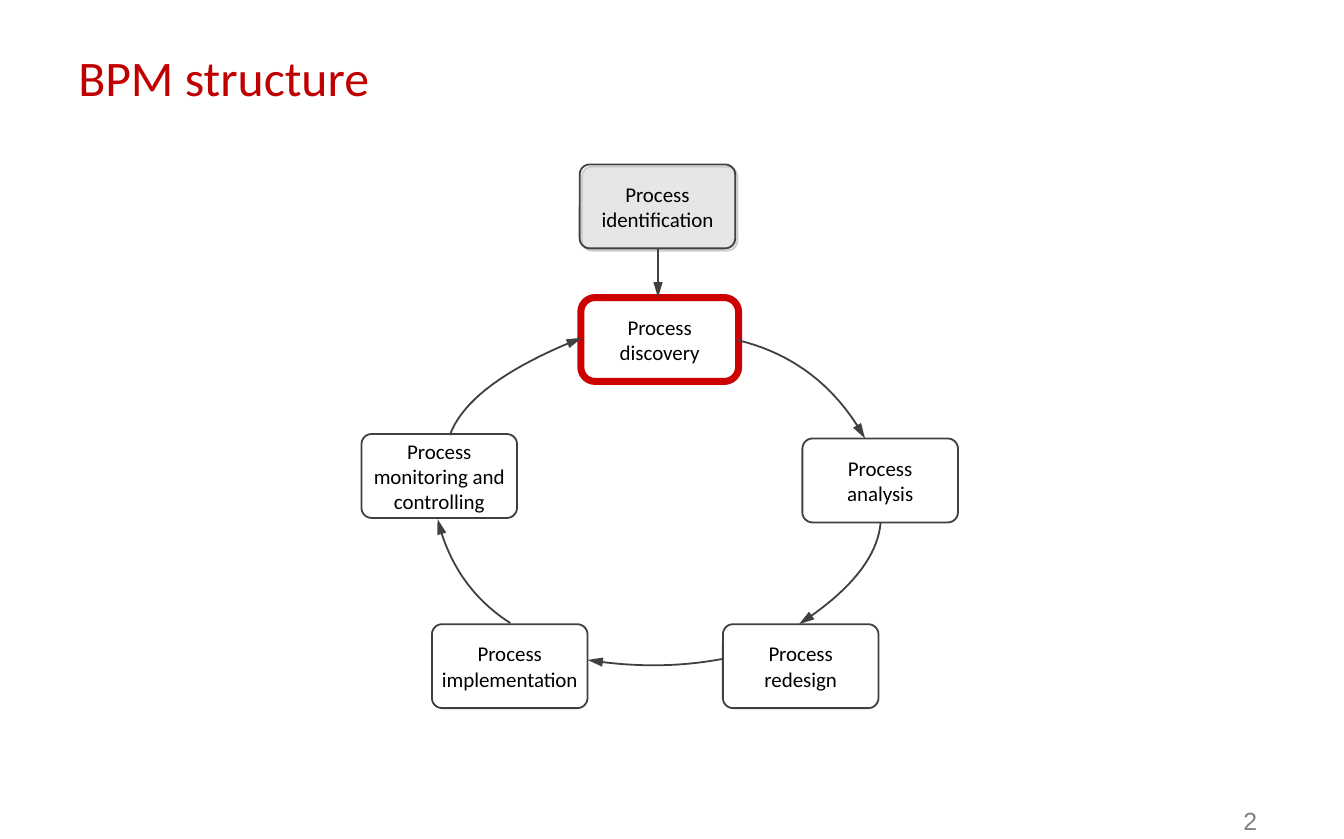
"""Build the BPM structure slide: a process lifecycle drawn as a ring of boxes."""
from lxml.etree import SubElement
from pptx import Presentation
from pptx.dml.color import RGBColor
from pptx.enum.shapes import MSO_CONNECTOR, MSO_SHAPE
from pptx.enum.text import MSO_ANCHOR, PP_ALIGN
from pptx.oxml.ns import qn
from pptx.util import Emu, Pt

PX = 9144
DARK = "404040"
RED = "CC0000"
BOX_W, BOX_H = 139, 75
STEPS = 20


def color(value):
    return RGBColor.from_string(value)


def write(sp, lines, size, font, ink, align=PP_ALIGN.LEFT, anchor=MSO_ANCHOR.TOP):
    tf = sp.text_frame
    tf.word_wrap = True
    tf.vertical_anchor = anchor
    tf.margin_left = tf.margin_right = tf.margin_top = tf.margin_bottom = 0
    p = tf.paragraphs[0]
    p.alignment = align
    for i, line in enumerate(lines):
        if i:
            p.add_line_break()
        r = p.add_run()
        r.text = line
        r.font.size = Pt(size)
        r.font.name = font
        r.font.color.rgb = color(ink)


prs = Presentation()
prs.slide_width, prs.slide_height = Emu(1201 * PX), Emu(750 * PX)
s = prs.slides.add_slide(prs.slide_layouts[6])

labels = [
    (70, 42, 300, 56, "BPM structure", 32, "Calibri", "C00000"),
    (1111, 720, 15, 29, "2", 16, "Arial", "7F7F7F"),
]
for x, y, w, h, text, size, font, ink in labels:
    sp = s.shapes.add_textbox(x * PX, y * PX, w * PX, h * PX)
    write(sp, [text], size, font, ink)

boxes = [
    (520, 149, BOX_W, [], "E6E6E6", "CDCDCD", 1.15),
    (518, 147, BOX_W, ["Process", "identification"], None, DARK, 1.15),
    (323, 388, BOX_W, ["Process", "monitoring and", "controlling"], None, DARK, 1.15),
    (386, 558, BOX_W, ["Process", "implementation"], None, DARK, 1.15),
    (717, 392, BOX_W, ["Process", "analysis"], None, DARK, 1.15),
    (646, 558, BOX_W, ["Process", "redesign"], None, DARK, 1.15),
    (519, 266, 141, ["Process", "discovery"], None, RED, 4.5),
]
for x, y, w, lines, fill, line, weight in boxes:
    sp = s.shapes.add_shape(MSO_SHAPE.ROUNDED_RECTANGLE, x * PX, y * PX, w * PX, BOX_H * PX)
    sp.adjustments[0] = 0.17 if line == RED else 0.12
    sp.shadow.inherit = False
    if fill:
        sp.fill.solid()
        sp.fill.fore_color.rgb = color(fill)
    else:
        sp.fill.background()
    sp.line.color.rgb = color(line)
    sp.line.width = Pt(weight)
    if lines:
        write(sp, lines, 13.5, "Calibri", "000000", PP_ALIGN.CENTER, MSO_ANCHOR.MIDDLE)

arrow = s.shapes.add_connector(MSO_CONNECTOR.STRAIGHT, 588 * PX, 222 * PX, 588 * PX, 266 * PX)
SubElement(arrow.element.spPr, qn("a:effectLst"))
arrows = [arrow]

curves = [
    ((402, 389), (419, 342), (520, 302)),
    ((456, 557), (406, 525), (391, 464)),
    ((646, 589), (588, 600), (525, 590)),
    ((659, 304), (734, 322), (773, 392)),
    ((787, 467), (783, 513), (714, 558)),
]
for start, bend, end in curves:
    points = []
    for i in range(STEPS + 1):
        t = i / STEPS
        points.append([
            round(PX * ((1 - t) ** 2 * a + 2 * t * (1 - t) * b + t ** 2 * c))
            for a, b, c in zip(start, bend, end)
        ])
    builder = s.shapes.build_freeform(*points[0])
    builder.add_line_segments(points[1:], close=False)
    sp = builder.convert_to_shape()
    sp.shadow.inherit = False
    sp.fill.background()
    arrows.append(sp)

for sp in arrows:
    sp.line.color.rgb = color(DARK)
    sp.line.width = Pt(1.15)
    SubElement(sp.line._get_or_add_ln(), qn("a:tailEnd"), type="triangle", w="med", len="lg")

prs.save("out.pptx")
